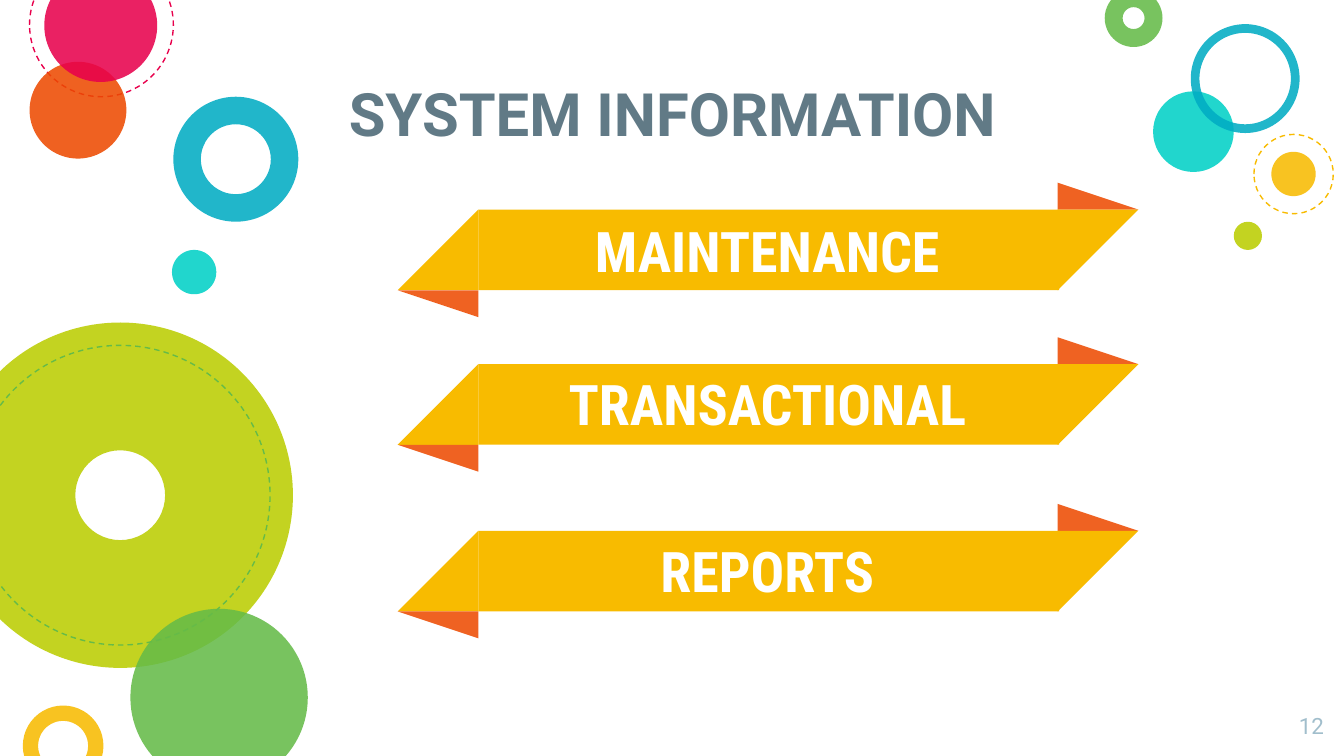
from dataclasses import dataclass
from typing import Optional

from lxml.etree import SubElement
from pptx import Presentation
from pptx.dml.color import RGBColor
from pptx.enum.dml import MSO_LINE
from pptx.enum.shapes import MSO_SHAPE as Preset
from pptx.enum.text import MSO_ANCHOR as Anchor, PP_ALIGN as Align
from pptx.oxml.ns import qn
from pptx.shapes.autoshape import Shape
from pptx.shapes.group import GroupShape
from pptx.slide import Slide
from pptx.text.text import TextFrame
from pptx.util import Inches, Pt


@dataclass(frozen=True)
class Theme:
    lime: str = "BBCD00"
    pink: str = "E8004C"
    orange: str = "ED4A00"
    blue: str = "00ACC3"
    green: str = "65BB48"
    yellow: str = "F8BB00"
    turquoise: str = "00D1C6"
    fold: str = "EF6222"
    white: str = "FFFFFF"
    heading: str = "617A86"
    page: str = "A1BECC"
    body_font: str = "Roboto"
    label_font: str = "Roboto Condensed"
    heading_size: int = 32
    label_size: int = 30
    page_size: int = 12
    dash_width: float = 0.75
    circle_opacity: int = 87


@dataclass(frozen=True)
class Circle:
    left: float
    top: float
    diameter: float
    color: str
    ring: Optional[float] = None  # ring thickness as a share of the diameter
    dashed: bool = False


@dataclass(frozen=True)
class Ribbon:
    label: str
    top: float
    label_top: float


THEME = Theme()

CIRCLES = [
    Circle(-0.39, 2.4, 2.57, THEME.lime, ring=0.37),
    Circle(0.22, -0.35, 1.07, THEME.pink, dashed=True),
    Circle(0.22, 0.46, 0.72, THEME.orange),
    Circle(1.29, 0.72, 0.93, THEME.blue, ring=0.22),
    Circle(0.97, 4.53, 1.32, THEME.green),
    Circle(0.17, 5.25, 0.6, THEME.yellow, ring=0.19),
    Circle(1.28, 1.86, 0.33, THEME.turquoise),
    Circle(8.58, 0.68, 0.6, THEME.turquoise),
    Circle(8.22, -0.08, 0.43, THEME.green, ring=0.31),
    Circle(9.46, 1.13, 0.33, THEME.yellow),
    Circle(8.86, 0.18, 0.81, THEME.blue, ring=0.08),
    Circle(9.18, 1.65, 0.21, THEME.lime),
    Circle(-0.22, 2.57, 2.23, THEME.green, dashed=True),
    Circle(0.33, -0.23, 0.84, THEME.pink),
    Circle(9.33, 1, 0.59, THEME.yellow, dashed=True),
]

RIBBONS = [
    Ribbon("MAINTENANCE", 1.56, 1.57),
    Ribbon("TRANSACTIONAL", 2.71, 2.71),
    Ribbon("REPORTS", 3.95, 3.95),
]

RIBBON_LEFT, RIBBON_RIGHT = 2.96, 7.87  # left edges of the two slanted ends
RIBBON_HEIGHT, FOLD_HEIGHT = 0.6, 0.2


def draw_circle(slide: Slide, circle: Circle) -> None:
    preset = Preset.OVAL if circle.ring is None else Preset.DONUT
    size = Inches(circle.diameter)
    shape = slide.shapes.add_shape(
        preset, Inches(circle.left), Inches(circle.top), size, size)
    shape.shadow.inherit = False
    if circle.ring is not None:
        shape.adjustments[0] = circle.ring
    if circle.dashed:
        shape.fill.background()
        shape.line.color.rgb = RGBColor.from_string(circle.color)
        shape.line.width = Pt(THEME.dash_width)
        shape.line.dash_style = MSO_LINE.DASH
        return
    shape.line.fill.background()
    shape.fill.solid()
    shape.fill.fore_color.rgb = RGBColor.from_string(circle.color)
    color = shape._element.spPr.find(qn("a:solidFill"))[0]
    SubElement(color, qn("a:alpha"), val=str(THEME.circle_opacity * 1000))


def add_piece(group: GroupShape, preset: Preset, left: float, top: float,
              width: float, height: float, color: str,
              rotation: int = 0, mirrored: bool = False) -> Shape:
    piece = group.shapes.add_shape(
        preset, Inches(left), Inches(top), Inches(width), Inches(height))
    piece.shadow.inherit = False
    piece.fill.solid()
    piece.fill.fore_color.rgb = RGBColor.from_string(color)
    piece.line.fill.background()
    piece.rotation = rotation
    if mirrored:
        piece._element.spPr.find(qn("a:xfrm")).set("flipH", "1")
    return piece


def write(frame: TextFrame, text: str, font: str, size: int, color: str,
          align: Align, anchor: Anchor = Anchor.TOP, bold: bool = False,
          inset: float = 0.1) -> None:
    frame.word_wrap = True
    frame.vertical_anchor = anchor
    frame.margin_left = frame.margin_right = Inches(0.1)
    frame.margin_top = frame.margin_bottom = Inches(inset)
    paragraph = frame.paragraphs[0]
    paragraph.alignment = align
    run = paragraph.add_run()
    run.text = text
    run.font.name = font
    run.font.size = Pt(size)
    run.font.bold = bold
    run.font.color.rgb = RGBColor.from_string(color)


def draw_ribbon(slide: Slide, ribbon: Ribbon) -> None:
    """Draw a slanted band with a fold above its right end and below its left."""
    group = slide.shapes.add_group_shape()
    top, side = ribbon.top, RIBBON_HEIGHT
    band_left = RIBBON_LEFT + side
    upper_fold = add_piece(group, Preset.ISOSCELES_TRIANGLE, RIBBON_RIGHT,
                           top - FOLD_HEIGHT, side, FOLD_HEIGHT, THEME.fold)
    add_piece(group, Preset.RECTANGLE, band_left, top,
              RIBBON_RIGHT - band_left + 0.01, side, THEME.yellow)
    add_piece(group, Preset.RIGHT_TRIANGLE, RIBBON_RIGHT, top, side, side,
              THEME.yellow, rotation=180, mirrored=True)
    add_piece(group, Preset.RIGHT_TRIANGLE, RIBBON_LEFT, top, side, side,
              THEME.yellow, mirrored=True)
    lower_fold = add_piece(group, Preset.ISOSCELES_TRIANGLE, RIBBON_LEFT,
                           top + side, side, FOLD_HEIGHT, THEME.fold,
                           rotation=180)
    for fold in (upper_fold, lower_fold):
        fold.adjustments[0] = 0

    label = slide.shapes.add_textbox(
        Inches(3.57), Inches(ribbon.label_top), Inches(4.28), Inches(0.58))
    write(label.text_frame, ribbon.label, THEME.label_font, THEME.label_size,
          THEME.white, Align.CENTER, Anchor.MIDDLE, bold=True)


def main() -> None:
    deck = Presentation()
    deck.slide_width = Inches(10)
    deck.slide_height = deck.slide_width * 9 // 16
    slide = deck.slides.add_slide(deck.slide_layouts.get_by_name("Title Only"))

    for circle in CIRCLES:
        draw_circle(slide, circle)

    page_number = slide.shapes.add_textbox(
        Inches(9.44), Inches(5.2), Inches(0.51), Inches(0.43))
    write(page_number.text_frame, "12", THEME.body_font, THEME.page_size,
          THEME.page, Align.RIGHT)

    for ribbon in RIBBONS:
        draw_ribbon(slide, ribbon)

    heading = slide.shapes.title
    heading.left, heading.top = Inches(0.81), Inches(0.52)
    heading.width, heading.height = Inches(8.39), Inches(0.64)
    write(heading.text_frame, "SYSTEM INFORMATION", THEME.body_font,
          THEME.heading_size, THEME.heading, Align.CENTER, bold=True, inset=0.05)

    deck.save("out.pptx")


if __name__ == "__main__":
    main()
